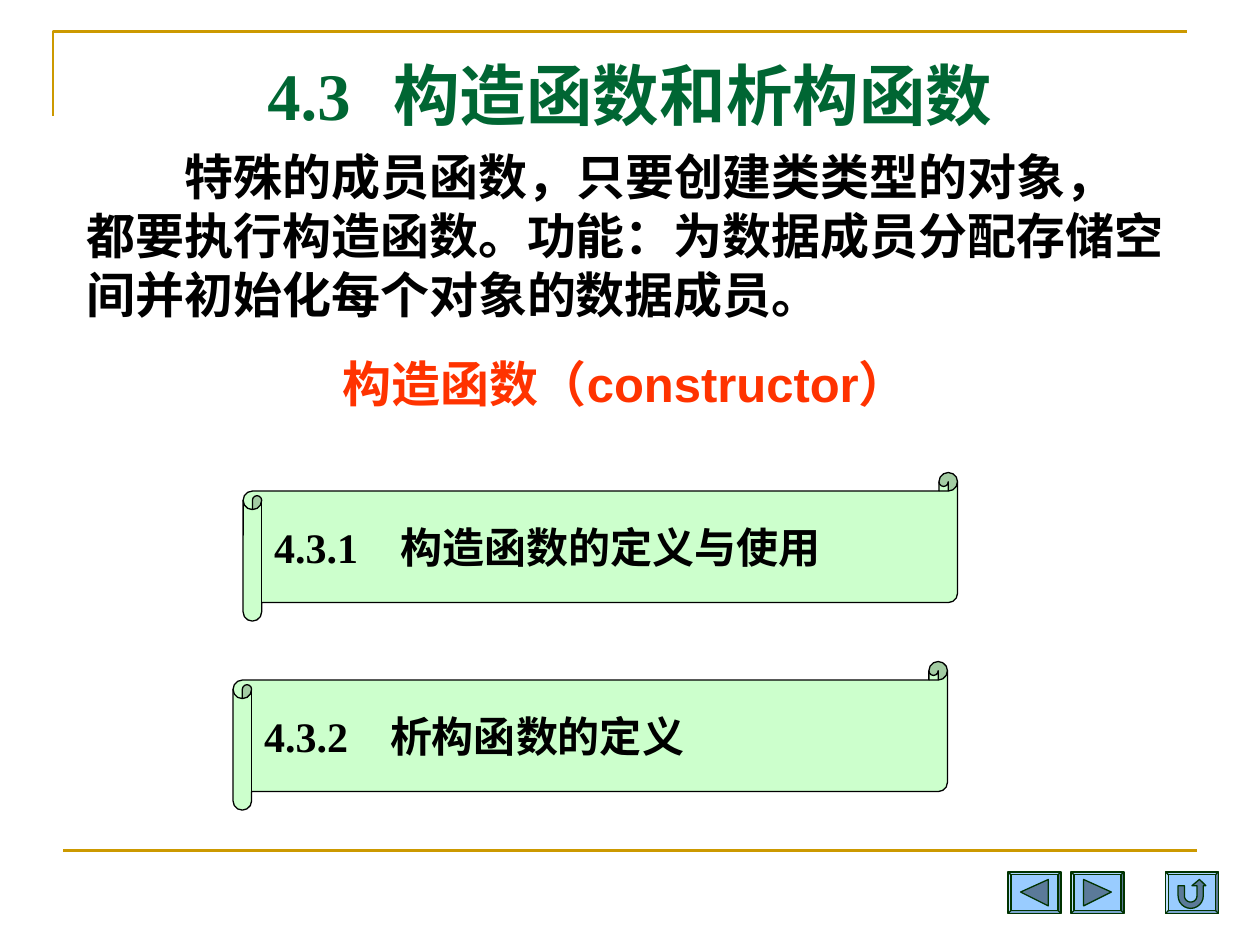
import math

from pptx import Presentation
from pptx.dml.color import RGBColor
from pptx.enum import shapes, text
from pptx.oxml import xmlchemy
from pptx.util import Inches, Pt
from lxml import etree
from pptx.oxml.ns import qn

GOLD = RGBColor(0xCC, 0x99, 0x00)
GREEN = RGBColor(0x00, 0x66, 0x33)
DARK_GREEN = RGBColor(0x00, 0x33, 0x00)
RED = RGBColor(0xFF, 0x33, 0x00)
BLACK = RGBColor(0x00, 0x00, 0x00)
MINT = RGBColor(0xCC, 0xFF, 0xCC)
SKY = RGBColor(0x99, 0xCC, 0xFF)
SLATE = RGBColor(0x5B, 0x7A, 0x99)
SERIF, SANS, HAN = "Times New Roman", "Arial", "Noto Sans CJK SC"


def style_span(span, size, face, color):
    span.font.size = Pt(size)
    span.font.bold = True
    span.font.name = face
    span.font.color.rgb = color
    east_asian = etree.SubElement(span.font._element, qn("a:ea"))
    east_asian.set("typeface", HAN)


def style_shape(shape, fill, line, width=0.75):
    shape.shadow.inherit = False
    if fill is None:
        shape.fill.background()
    else:
        shape.fill.solid()
        shape.fill.fore_color.rgb = fill
    shape.line.color.rgb = line
    shape.line.width = Pt(width)


def add_outline(page, points, fill, line, width=0.75, close=True):
    corners = [(Inches(x), Inches(y)) for x, y in points]
    builder = page.shapes.build_freeform(*corners[0])
    builder.add_line_segments(corners[1:], close=close)
    style_shape(builder.convert_to_shape(), fill, line, width)


def add_frame(page, left, top, width, drop, bottom):
    # Corner rule at the top, straight rule above the buttons
    corner = [(left, top + drop), (left, top), (left + width, top)]
    add_outline(page, corner, None, GOLD, 1.5, close=False)
    rule = page.shapes.add_connector(
        shapes.MSO_CONNECTOR.STRAIGHT,
        Inches(0.5), Inches(bottom), Inches(9.5), Inches(bottom))
    rule.line.color.rgb = GOLD
    rule.line.width = Pt(1.5)
    etree.SubElement(rule._element.spPr, qn("a:effectLst"))


def fill_title(page, left, top, width, height):
    title = page.shapes.title
    title.left, title.top = Inches(left), Inches(top)
    title.width, title.height = Inches(width), Inches(height)
    title.text_frame.text = "4.3\t构造函数和析构函数"
    title.text_frame.vertical_anchor = text.MSO_ANCHOR.MIDDLE
    para = title.text_frame.paragraphs[0]
    para.alignment = text.PP_ALIGN.CENTER
    para.line_spacing = Pt(46)
    style_span(para.runs[0], 38, SERIF, GREEN)


def add_body(page, left, top, width, height):
    box = page.shapes.add_textbox(
        Inches(left), Inches(top), Inches(width), Inches(height))
    frame = box.text_frame
    frame.word_wrap = True
    frame.margin_top = Inches(0.09)

    # Description, indented by two characters
    intro = frame.paragraphs[0]
    intro.text = ("特殊的成员函数，只要创建类类型的对象，都要执行构造函数。"
                  "功能：为数据成员分配存储空间并初始化每个对象的数据成员。")
    intro._p.get_or_add_pPr().set("indent", str(Pt(56)))
    style_span(intro.runs[0], 28, HAN, BLACK)

    # Highlighted term
    term = frame.add_paragraph()
    term.alignment = text.PP_ALIGN.CENTER
    term.space_before = Pt(17.5)
    for words, face in (("构造函数", HAN), ("（constructor）", SANS)):
        span = term.add_run()
        span.text = words
        style_span(span, 28, face, RED)

    for para in frame.paragraphs:
        para.line_spacing = Pt(33.7)


def add_scroll(page, left, top, width, height, heading):
    scroll = page.shapes.add_shape(
        shapes.MSO_SHAPE.HORIZONTAL_SCROLL,
        Inches(left), Inches(top), Inches(width), Inches(height))
    style_shape(scroll, MINT, BLACK)
    frame = scroll.text_frame
    frame.text = heading
    frame.word_wrap = True
    frame.vertical_anchor = text.MSO_ANCHOR.MIDDLE
    para = frame.paragraphs[0]
    para.alignment = text.PP_ALIGN.LEFT
    style_span(para.runs[0], 24, SERIF, BLACK)


def arc(radius, start, end, steps=12):
    angles = [math.radians(start + (end - start) * i / steps)
              for i in range(steps + 1)]
    return [(0.2 + radius * math.cos(a), 0.19 + radius * math.sin(a))
            for a in angles]


def add_button(page, left, top, width, height, glyph):
    button = page.shapes.add_shape(
        shapes.MSO_SHAPE.BEVEL,
        Inches(left), Inches(top), Inches(width), Inches(height))
    button.adjustments[0] = 0.07
    style_shape(button, SKY, DARK_GREEN)
    points = [(left + x, top + y) for x, y in glyph]
    add_outline(page, points, SLATE, DARK_GREEN)


def add_navigation(page, top):
    previous = [(0.1, 0.16), (0.32, 0.06), (0.32, 0.27)]
    following = [(0.1, 0.06), (0.32, 0.16), (0.1, 0.27)]
    back = ([(0.1, 0.11), (0.15, 0.11)] + arc(0.05, 180, 0)
            + [(0.25, 0.11), (0.21, 0.11), (0.27, 0.06), (0.32, 0.11),
               (0.3, 0.11)] + arc(0.1, 0, 180))
    for left, glyph in ((8, previous), (8.5, following), (9.25, back)):
        add_button(page, left, top, 0.42, 0.33, glyph)


def main():
    deck = Presentation()
    deck.slide_width, deck.slide_height = Inches(10), Inches(7.5)
    page = deck.slides.add_slide(deck.slide_layouts[5])
    add_frame(page, 0.42, 0.25, 9, 0.67, 6.75)
    fill_title(page, 0.5, 0.3, 9, 0.88)
    add_body(page, 0.59, 1.07, 8.74, 2.21)
    add_navigation(page, 6.92)
    add_scroll(page, 1.93, 3.75, 5.67, 1.18, "4.3.1\t构造函数的定义与使用")
    add_scroll(page, 1.85, 5.25, 5.67, 1.18, "4.3.2\t析构函数的定义")
    deck.save("out.pptx")


if __name__ == "__main__":
    main()
